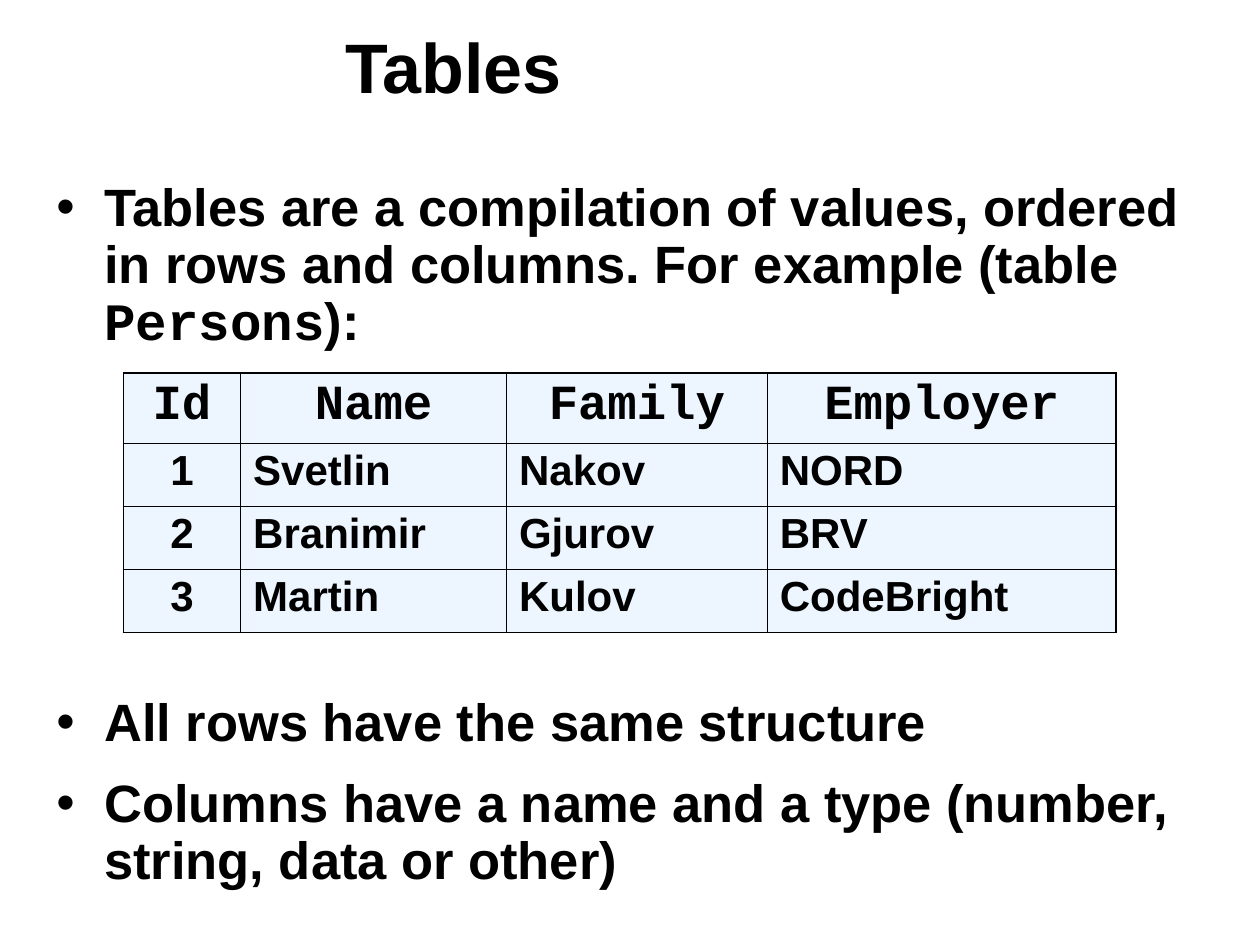
from typing import NamedTuple

from lxml import etree
from pptx import Presentation
from pptx.dml.color import RGBColor
from pptx.enum.text import MSO_ANCHOR as Anchor, PP_ALIGN as Align
from pptx.oxml.ns import qn
from pptx.util import Inches, Pt

SANS, MONO = "Arial", "Courier New"
INK, TINT = "000000", "DDECFF"
THIN, THICK = 0.45, 1.08


class Run(NamedTuple):
    text: str
    font: str = SANS


class Item(NamedTuple):
    runs: list[Run]
    before: float


ITEMS = [
    Item([Run("Tables are a compilation of values, ordered in rows and columns. "
              "For example (table "), Run("Persons", MONO), Run("):")], 0),
    Item([Run("All rows have the same structure")], 197),
    Item([Run("Columns have a name and a type (number, string, data or other)")], 14),
]
WIDTHS = [0.93, 2.11, 2.07, 2.77]
HEIGHTS = [0.56, 0.5, 0.5, 0.5]
PEOPLE = [
    ["Id", "Name", "Family", "Employer"],
    ["1", "Svetlin", "Nakov", "NORD"],
    ["2", "Branimir", "Gjurov", "BRV"],
    ["3", "Martin", "Kulov", "CodeBright"],
]


def color(code: str) -> RGBColor:
    return RGBColor.from_string(code)


def add_runs(para, runs: list[Run], size: float) -> None:
    for part in runs:
        run = para.add_run()
        run.text = part.text
        font = run.font
        font.name, font.size, font.bold = part.font, Pt(size), True
        font.color.rgb = color(INK)


def add_box(slide, left: float, top: float, width: float, height: float):
    box = slide.shapes.add_textbox(Inches(left), Inches(top), Inches(width), Inches(height))
    box.text_frame.word_wrap = True
    return box.text_frame


def add_bullet(para) -> None:
    props = para._p.get_or_add_pPr()
    props.set("marL", str(Inches(0.38)))
    props.set("indent", str(-Inches(0.38)))
    tint = etree.SubElement(props, qn("a:buClr"))
    etree.SubElement(tint, qn("a:srgbClr"), val=INK)
    etree.SubElement(props, qn("a:buFont"), typeface=SANS)
    etree.SubElement(props, qn("a:buChar"), char="•")


def add_list(slide, items: list[Item]) -> None:
    frame = add_box(slide, 0.35, 1.39, 9.13, 5.83)
    for num, item in enumerate(items):
        para = frame.add_paragraph() if num else frame.paragraphs[0]
        add_bullet(para)
        para.line_spacing = 0.9
        if item.before:
            para.space_before = Pt(item.before)
        add_runs(para, item.runs, 30)


def set_edges(cell, row: int, col: int) -> None:
    """Draw thick lines on the rim of the table and thin ones inside."""
    rim = {"L": col == 0, "R": col == len(WIDTHS) - 1,
           "T": row == 0, "B": row == len(HEIGHTS) - 1}
    props = cell._tc.get_or_add_tcPr()
    for spot, (side, outer) in enumerate(rim.items()):
        line = etree.Element(qn(f"a:ln{side}"), w=str(Pt(THICK if outer else THIN)))
        fill = etree.SubElement(line, qn("a:solidFill"))
        etree.SubElement(fill, qn("a:srgbClr"), val=INK)
        props.insert(spot, line)


def set_fill(cell) -> None:
    cell.fill.solid()
    cell.fill.fore_color.rgb = color(TINT)
    shade = cell._tc.tcPr.find(".//" + qn("a:srgbClr"))
    etree.SubElement(shade, qn("a:alpha"), val="50000")


def add_grid(slide, data: list[list[str]]) -> None:
    table = slide.shapes.add_table(
        len(HEIGHTS), len(WIDTHS), Inches(0.98), Inches(2.96),
        Inches(sum(WIDTHS)), Inches(sum(HEIGHTS))).table
    table.horz_banding = False
    for col, width in zip(table.columns, WIDTHS):
        col.width = Inches(width)
    for row, height in zip(table.rows, HEIGHTS):
        row.height = Inches(height)
    for r, texts in enumerate(data):
        head = r == 0
        for c, text in enumerate(texts):
            cell = table.cell(r, c)
            set_fill(cell)
            set_edges(cell, r, c)
            para = cell.text_frame.paragraphs[0]
            para.alignment = Align.CENTER if head or c == 0 else Align.LEFT
            para.line_spacing = 0.95
            add_runs(para, [Run(text, MONO if head else SANS)], 28 if head else 24)


def main() -> None:
    deck = Presentation()
    deck.slide_width, deck.slide_height = Inches(10), Inches(7.5)
    slide = deck.slides.add_slide(deck.slide_layouts[6])
    title = add_box(slide, 2.64, 0.08, 7.17, 0.99)
    title.vertical_anchor = Anchor.MIDDLE
    title.paragraphs[0].line_spacing = 0.85
    add_runs(title.paragraphs[0], [Run("Tables")], 40)
    add_list(slide, ITEMS)
    add_grid(slide, PEOPLE)
    deck.save("out.pptx")


if __name__ == "__main__":
    main()
